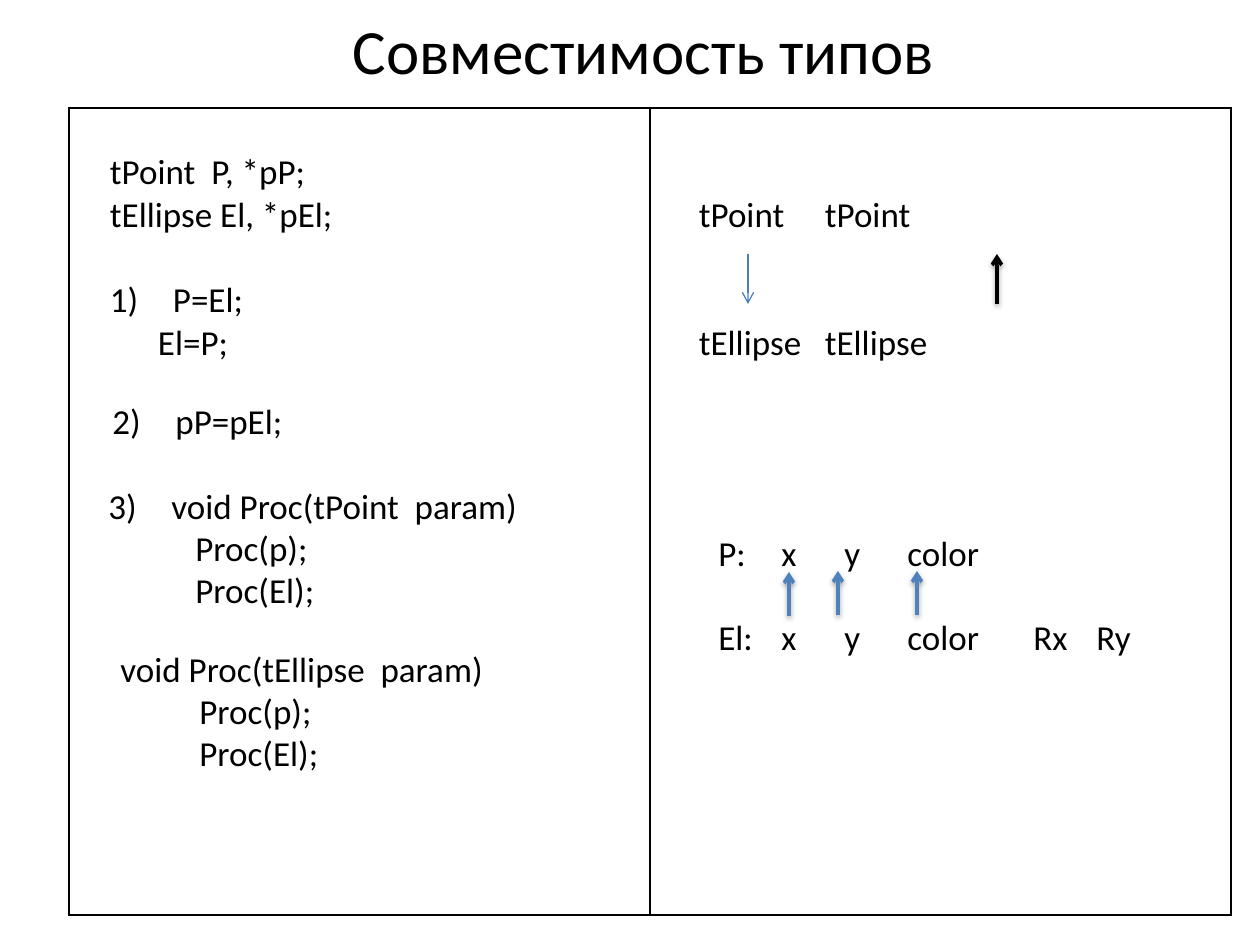
from dataclasses import dataclass

from lxml.etree import SubElement
from pptx import Presentation
from pptx.dml.color import RGBColor
from pptx.enum.shapes import MSO_CONNECTOR
from pptx.enum.text import MSO_ANCHOR, PP_ALIGN
from pptx.oxml.ns import qn
from pptx.util import Pt

PIXEL = 914400 // 126


@dataclass(frozen=True)
class Theme:
    """Colours, font and type sizes of the slide."""
    black: str = "000000"
    blue: str = "4F81BD"
    thin_blue: str = "4B7EBC"
    font: str = "Calibri"
    title: int = 36
    body: int = 20
    line_height: float = 24.4


theme = Theme()


def add_child(parent, tag, **attributes):
    """Append a drawing element with the given attributes."""
    return SubElement(parent, qn(f"a:{tag}"),
                      {name: str(value) for name, value in attributes.items()})


def write_lines(frame, lines, size=theme.body, align=PP_ALIGN.LEFT):
    """Write lines given as (text, indent, blank lines above, tab stops)."""
    for index, (text, indent, gap, stops) in enumerate(lines):
        para = frame.paragraphs[0] if index == 0 else frame.add_paragraph()
        para.alignment = align
        if gap:
            para.space_before = Pt(gap * theme.line_height)
        properties = para._p.get_or_add_pPr()
        properties.set("marL", str(indent * PIXEL))
        properties.set("indent", "0")
        if stops:
            tabs = add_child(properties, "tabLst")
            for stop in stops:
                add_child(tabs, "tab", pos=stop * PIXEL, algn="l")
        span = para.add_run()
        span.text = text
        for name, value in {"name": theme.font, "size": Pt(size)}.items():
            setattr(span.font, name, value)
        span.font.color.rgb = RGBColor.from_string(theme.black)


deck = Presentation()
deck.slide_width, deck.slide_height = 1260 * PIXEL, 945 * PIXEL
page = deck.slides.add_slide(deck.slide_layouts[6])

# Title
title_box = page.shapes.add_textbox(108 * PIXEL, 0, 1071 * PIXEL, 98 * PIXEL)
title_box.text_frame.word_wrap = True
title_box.text_frame.vertical_anchor = MSO_ANCHOR.MIDDLE
write_lines(title_box.text_frame, [("Совместимость типов", 0, 0, [])],
            theme.title, PP_ALIGN.CENTER)

# Two-column frame: left margin, top margin, lines
columns = [
    (41, 43, [("tPoint  P, *pP;", 0, 0, []),
              ("tEllipse El, *pEl;", 0, 0, []),
              ("1)\tP=El;", 0, 1, [52]),
              ("El=P;", 48, 0, [])]),
    (49, 86, [("tPoint\ttPoint", 0, 0, [244]),
              ("tEllipse\ttEllipse", 0, 2, [252])]),
]
table = page.shapes.add_table(1, 2, 69 * PIXEL, 108 * PIXEL,
                              1162 * PIXEL, 807 * PIXEL).table
table.first_row = table.horz_banding = False
for cell, (left, top, lines) in zip(table.rows[0].cells, columns):
    margins = {"margin_left": left, "margin_top": top,
               "margin_right": 9, "margin_bottom": 0}
    for name, value in margins.items():
        setattr(cell, name, value * PIXEL)
    write_lines(cell.text_frame, lines)
    properties = cell._tc.get_or_add_tcPr()
    for side in ("lnL", "lnR", "lnT", "lnB"):
        border = add_child(properties, side, w=Pt(1))
        add_child(add_child(border, "solidFill"), "srgbClr", val=theme.black)
    cell.fill.background()

# Arrows: x, start y, end y, colour, width, shadow
arrows = [
    (748, 254, 304, theme.thin_blue, 0.75, False),
    (997, 304, 254, theme.black, 2, True),
    (789, 616, 572, theme.blue, 2, True),
    (838, 615, 571, theme.blue, 2, True),
    (917, 615, 571, theme.blue, 2, True),
]
for x, start, end, color, width, shadowed in arrows:
    arrow = page.shapes.add_connector(MSO_CONNECTOR.STRAIGHT, x * PIXEL, start * PIXEL,
                                      x * PIXEL, end * PIXEL)
    arrow.line.color.rgb = RGBColor.from_string(color)
    arrow.line.width = Pt(width)
    add_child(arrow.line._get_or_add_ln(), "tailEnd", type="arrow")
    effects = add_child(arrow._element.spPr, "effectLst")
    if shadowed:
        shadow = add_child(effects, "outerShdw", blurRad=Pt(3.1), dist=Pt(1.6),
                           dir=5400000, rotWithShape=0)
        shade = add_child(shadow, "srgbClr", val=theme.black)
        add_child(shade, "alpha", val=38000)

# Code fragments: left, top, width, height, lines
calls = [("Proc(p);", 87, 0, []), ("Proc(El);", 87, 0, [])]
fields = [68, 122, 170, 304, 394]
fragments = [
    (100, 393, 186, 55, [("2)\tpP=pEl;", 0, 0, [52])]),
    (96, 478, 475, 140, [("3)\tvoid Proc(tPoint  param)", 0, 0, [52]), *calls]),
    (100, 641, 471, 140, [("void Proc(tEllipse  param)", 8, 0, []), *calls]),
    (706, 525, 456, 140, [("P:\tx\ty\tcolor", 0, 0, fields),
                          ("El:\tx\ty\tcolor\tRx\tRy", 0, 1, fields)]),
]
for left, top, width, height, lines in fragments:
    box = page.shapes.add_textbox(left * PIXEL, top * PIXEL,
                                  width * PIXEL, height * PIXEL)
    for name, value in {"word_wrap": True, "margin_right": 0}.items():
        setattr(box.text_frame, name, value)
    write_lines(box.text_frame, lines)

deck.save("out.pptx")
